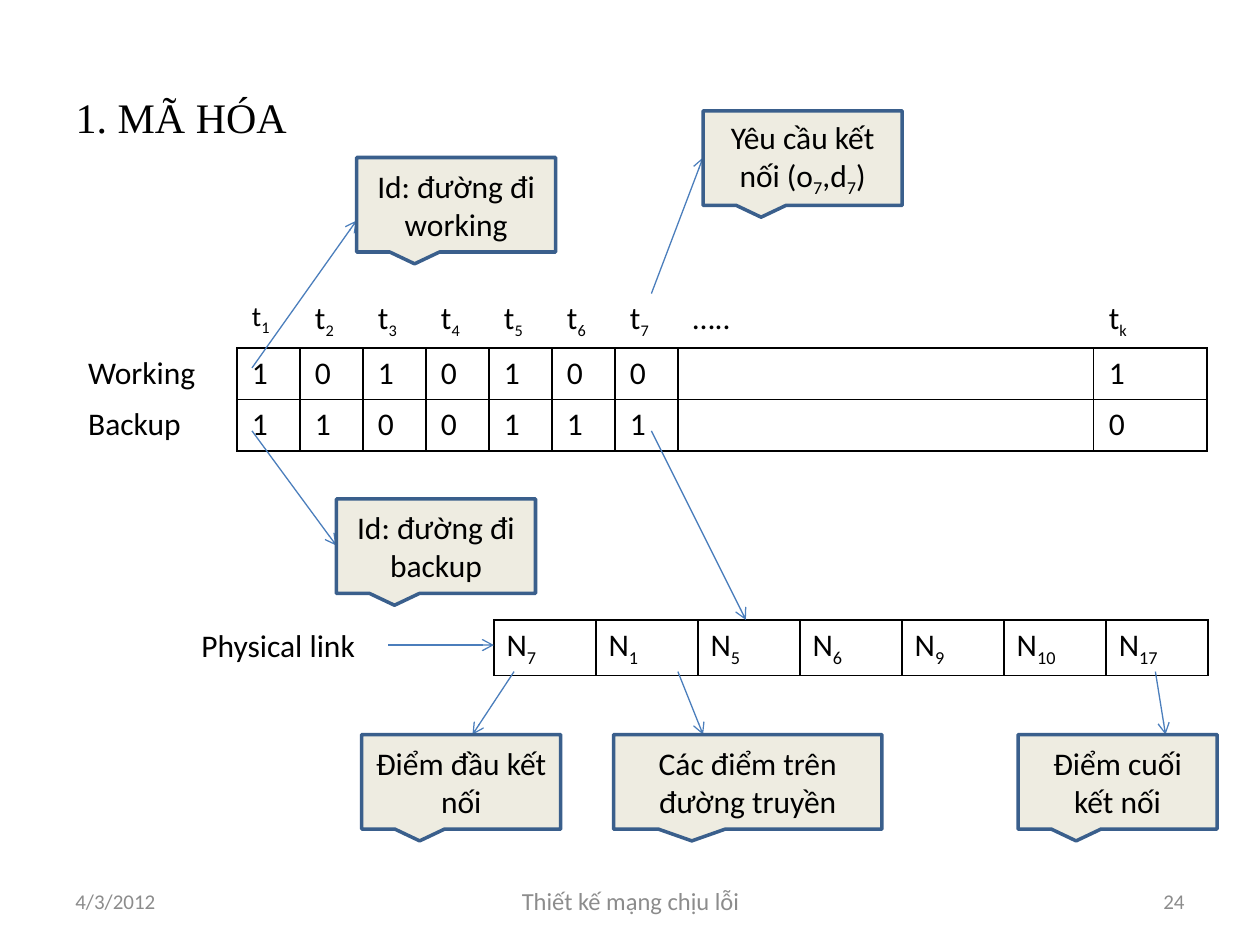
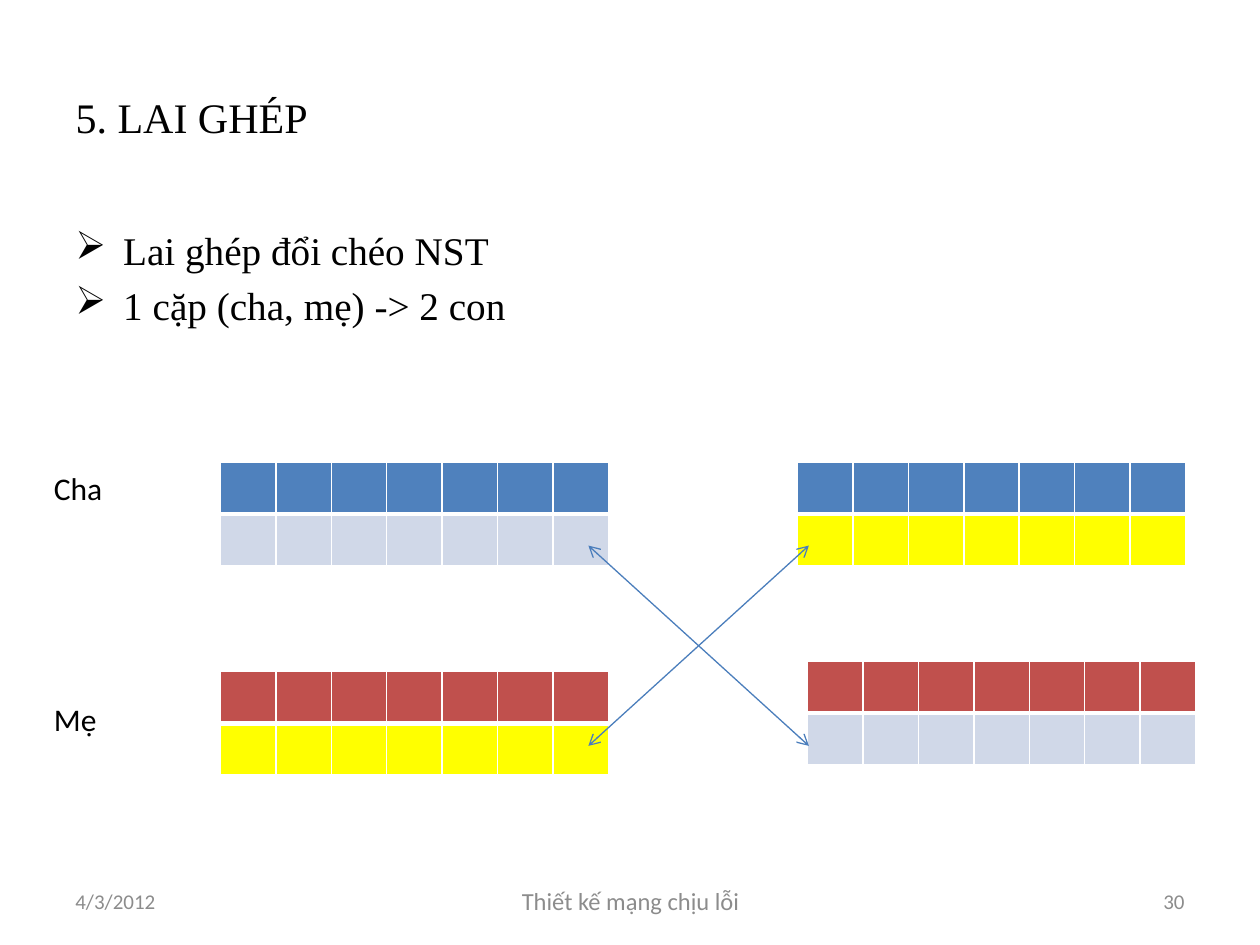
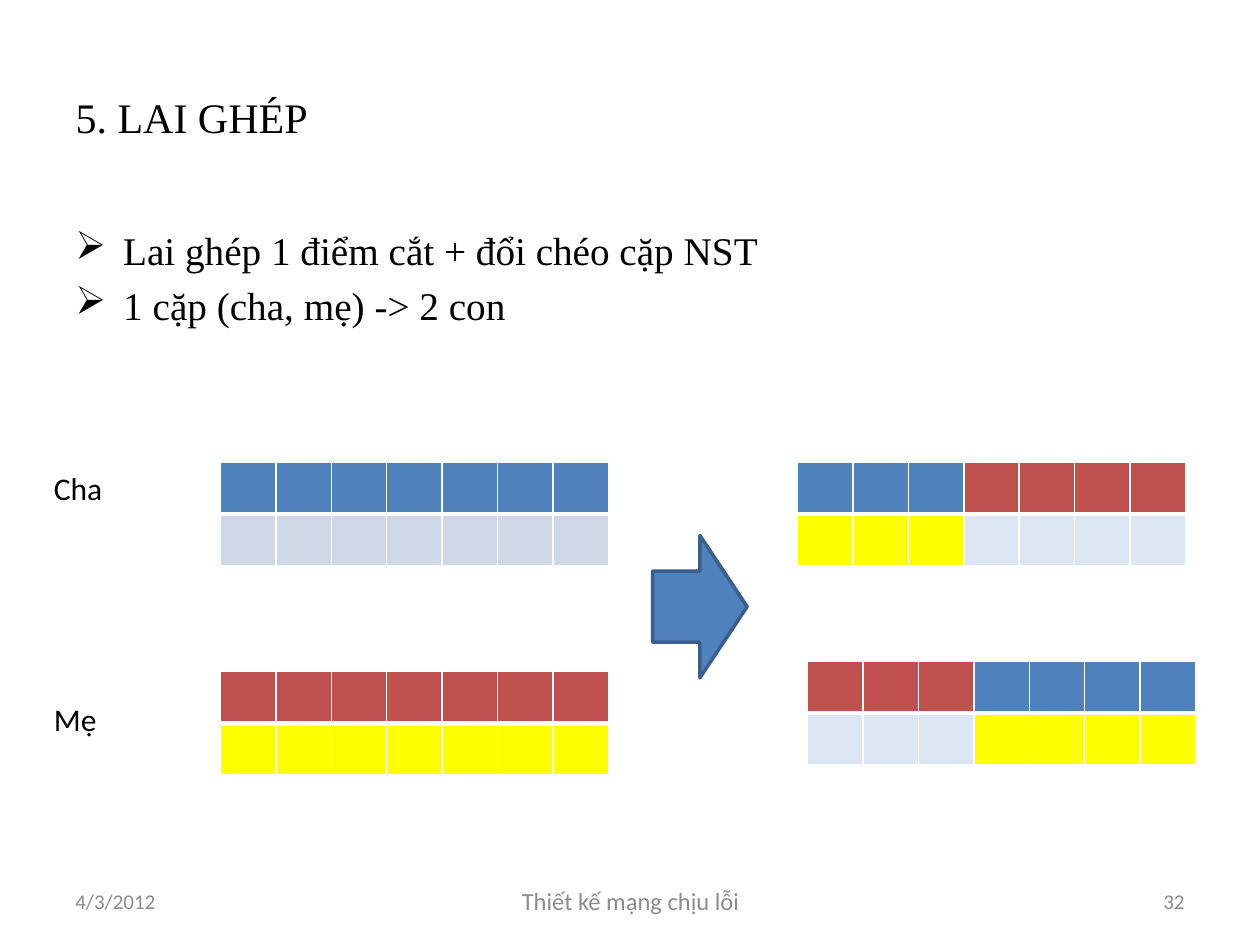
"""Build three slides on encoding and crossover for fault-tolerant network design."""
from lxml.etree import SubElement
from pptx import Presentation
from pptx.dml.color import RGBColor
from pptx.enum.shapes import MSO_CONNECTOR, MSO_SHAPE
from pptx.enum.text import MSO_ANCHOR, PP_ALIGN
from pptx.oxml.ns import qn
from pptx.util import Inches, Pt

BLACK = RGBColor(0x00, 0x00, 0x00)
WHITE = RGBColor(0xFF, 0xFF, 0xFF)
GREY = RGBColor(0x8C, 0x8C, 0x8C)
BEIGE = RGBColor(0xEE, 0xEC, 0xE1)
BLUE = RGBColor(0x4F, 0x81, 0xBD)
OUTLINE_BLUE = RGBColor(0x3A, 0x5F, 0x8C)
ARROW_BLUE = RGBColor(0x4B, 0x7E, 0xBC)
RED = RGBColor(0xC0, 0x50, 0x4D)
YELLOW = RGBColor(0xFF, 0xFF, 0x00)
LILAC = RGBColor(0xD0, 0xD8, 0xE8)
PALE_BLUE = RGBColor(0xDC, 0xE6, 0xF2)

TITLE_FONT = "Times New Roman"
BODY_FONT = "Calibri"
FOOTER = "Thiết kế mạng chịu lỗi"
LEFT, CENTER, RIGHT = PP_ALIGN.LEFT, PP_ALIGN.CENTER, PP_ALIGN.RIGHT
GENES = 7
CUT = 3


def write_text(paragraph, text, size=18, color=BLACK, font=BODY_FONT, align=LEFT, subscript_size=None):
    """Write text, lowering the parts enclosed in tildes."""
    paragraph.alignment = align
    for index, part in enumerate(text.split("~")):
        if not part:
            continue
        lowered = index % 2 == 1
        run = paragraph.add_run()
        run.text = part
        run.font.color.rgb = color
        values = {"name": font, "bold": False, "size": Pt(subscript_size if lowered and subscript_size else size)}
        for name, value in values.items():
            setattr(run.font, name, value)
        if lowered:
            run.font._element.set("baseline", "-25000")


def format_cell(cell, fill, color, borders):
    """Give a cell its borders, as widths by side, and its fill."""
    properties = cell._tc.get_or_add_tcPr()
    for side in "LRTB":
        if side in borders:
            line = SubElement(properties, qn(f"a:ln{side}"), w=str(Pt(borders[side])))
            solid = SubElement(line, qn("a:solidFill"))
            SubElement(solid, qn("a:srgbClr"), val=str(color))
    if fill is None:
        cell.fill.background()
    else:
        cell.fill.solid()
        cell.fill.fore_color.rgb = fill


presentation = Presentation()
presentation.slide_width = Inches(10)
presentation.slide_height = Inches(7.5)

slides = []
text_boxes = []
for title, number in (("1. MÃ HÓA", "24"), ("5. LAI GHÉP", "30"), ("5. LAI GHÉP", "32")):
    slide = presentation.slides.add_slide(presentation.slide_layouts[5])
    slides.append(slide)
    place = {"left": 0.5, "top": 0.3, "width": 9, "height": 1.25}
    for name, value in place.items():
        setattr(slide.shapes.title, name, Inches(value))
    slide.shapes.title.text_frame.vertical_anchor = MSO_ANCHOR.MIDDLE
    write_text(slide.shapes.title.text_frame.paragraphs[0], title, 24, font=TITLE_FONT)
    text_boxes += [
        (slide, "4/3/2012", 0.5, 6.95, 2.33, 12, GREY, LEFT, MSO_ANCHOR.MIDDLE),
        (slide, FOOTER, 3.42, 6.95, 3.17, 14, GREY, CENTER, MSO_ANCHOR.MIDDLE),
        (slide, number, 7.17, 6.95, 2.33, 12, GREY, RIGHT, MSO_ANCHOR.MIDDLE),
    ]
encoding, swap, cut_swap = slides

text_boxes.append((encoding, "Physical link", 1.5, 4.92, 1.58, 18, BLACK, LEFT, MSO_ANCHOR.TOP))
for slide in (swap, cut_swap):
    for label, top in (("Cha", 3.67), ("Mẹ", 5.51)):
        text_boxes.append((slide, label, 0.33, top, 1, 18, BLACK, LEFT, MSO_ANCHOR.TOP))

for slide, text, left, top, width, size, color, align, anchor in text_boxes:
    box = slide.shapes.add_textbox(Inches(left), Inches(top), Inches(width), Inches(0.4))
    box.text_frame.word_wrap = True
    box.text_frame.vertical_anchor = anchor
    write_text(box.text_frame.paragraphs[0], text, size, color, align=align)

for slide, method in ((swap, "Lai ghép đổi chéo NST"), (cut_swap, "Lai ghép 1 điểm cắt + đổi chéo cặp NST")):
    box = slide.shapes.add_textbox(Inches(0.5), Inches(1.75), Inches(9), Inches(0.83))
    frame = box.text_frame
    frame.word_wrap = True
    for paragraph, text in ((frame.paragraphs[0], method), (frame.add_paragraph(), "1 cặp (cha, mẹ) -> 2 con")):
        write_text(paragraph, text, 22.4, font=TITLE_FONT)
        paragraph.space_before = Pt(4.5)
        properties = paragraph._p.get_or_add_pPr()
        properties.set("marL", str(Inches(0.38)))
        properties.set("indent", str(-Inches(0.38)))
        SubElement(properties, qn("a:buChar"), char="➢")

code_rows = [
    ["", *(f"t~{index}~" for index in range(1, GENES + 1)), "…..", "t~k~"],
    ["Working", *"1010100", "", "1"],
    ["Backup", *"1100111", "", "0"],
]
link_rows = [[f"N~{node}~" for node in (7, 1, 5, 6, 9, 10, 17)]]
for rows, left, top, widths, margin, subscript_size in (
    (code_rows, 0.58, 2.33, [1.3] + [0.5] * GENES + [3.3, 0.9], 0.12, 16),
    (link_rows, 3.92, 4.92, [0.81] * GENES, 0.1, 18),
):
    table = encoding.shapes.add_table(
        len(rows), len(widths), Inches(left), Inches(top), Inches(sum(widths)), Inches(0.41 * len(rows))
    ).table
    table.first_row = table.horz_banding = False
    for column, width in zip(table.columns, widths):
        column.width = Inches(width)
    for row_index, texts in enumerate(rows):
        table.rows[row_index].height = Inches(0.41)
        for column_index, text in enumerate(texts):
            cell = table.cell(row_index, column_index)
            cell.margin_left = cell.margin_right = Inches(margin)
            size = 16 if text == "t~1~" else 18
            write_text(cell.text_frame.paragraphs[0], text, size, subscript_size=subscript_size)
            borders = dict.fromkeys("LRTB", 1)
            if rows is code_rows and column_index == 0:
                borders = {"R": 1} if row_index else {}
            elif rows is code_rows and row_index == 0:
                borders = {"B": 1}
            format_cell(cell, None, BLACK, borders)

chromosomes = []
for slide in (swap, cut_swap):
    chromosomes += [(slide, 1.75, 3.67, (BLUE, LILAC), (BLUE, LILAC)), (slide, 1.75, 5.33, (RED, YELLOW), (RED, YELLOW))]
chromosomes += [
    (swap, 6.33, 3.67, (BLUE, YELLOW), (BLUE, YELLOW)),
    (swap, 6.41, 5.25, (RED, LILAC), (RED, LILAC)),
    (cut_swap, 6.33, 3.67, (BLUE, YELLOW), (RED, PALE_BLUE)),
    (cut_swap, 6.41, 5.25, (RED, PALE_BLUE), (BLUE, YELLOW)),
]
for slide, left, top, before_cut, after_cut in chromosomes:
    table = slide.shapes.add_table(2, GENES, Inches(left), Inches(top), Inches(3.08), Inches(0.82)).table
    for column_index in range(GENES):
        table.columns[column_index].width = Inches(0.44)
        colors = before_cut if column_index < CUT else after_cut
        for row_index, shared_edge in enumerate("BT"):
            borders = {**dict.fromkeys("LRTB", 1), shared_edge: 3}
            format_cell(table.cell(row_index, column_index), colors[row_index], WHITE, borders)

for slide, start, end, two_headed in (
    (encoding, (2, 2.92), (2.83, 1.75), False),
    (encoding, (2, 3.42), (2.67, 4.33), False),
    (encoding, (5.17, 2.33), (5.58, 1.25), False),
    (encoding, (5.17, 3.42), (5.92, 4.92), False),
    (encoding, (4.08, 5.33), (3.75, 5.83), False),
    (encoding, (9.17, 5.33), (9.25, 5.83), False),
    (encoding, (5.38, 5.33), (5.58, 5.83), False),
    (encoding, (3.08, 5.12), (3.92, 5.12), False),
    (swap, (4.67, 4.33), (6.42, 5.92), True),
    (swap, (4.67, 5.92), (6.42, 4.33), True),
):
    connector = slide.shapes.add_connector(MSO_CONNECTOR.STRAIGHT, *map(Inches, start + end))
    connector.line.color.rgb = ARROW_BLUE
    connector.line.width = Pt(0.75)
    properties = connector.element.spPr
    for tag in ("a:headEnd", "a:tailEnd") if two_headed else ("a:tailEnd",):
        SubElement(properties.get_or_add_ln(), qn(tag), type="arrow")
    SubElement(properties, qn("a:effectLst"))

CALLOUT = MSO_SHAPE.RECTANGULAR_CALLOUT
for slide, kind, text, left, top, width, height, fill in (
    (encoding, CALLOUT, "Id: đường đi working", 2.83, 1.25, 1.58, 0.75, BEIGE),
    (encoding, CALLOUT, "Id: đường đi backup", 2.67, 3.96, 1.58, 0.75, BEIGE),
    (encoding, CALLOUT, "Yêu cầu kết nối (o~7~,d~7~)", 5.58, 0.88, 1.58, 0.75, BEIGE),
    (encoding, CALLOUT, "Điểm đầu kết nối", 2.87, 5.83, 1.58, 0.75, BEIGE),
    (encoding, CALLOUT, "Các điểm trên đường truyền", 4.87, 5.83, 2.13, 0.75, BEIGE),
    (encoding, CALLOUT, "Điểm cuối kết nối", 8.08, 5.83, 1.58, 0.75, BEIGE),
    (cut_swap, MSO_SHAPE.RIGHT_ARROW, "", 5.18, 4.25, 0.75, 1.13, BLUE),
):
    shape = slide.shapes.add_shape(kind, Inches(left), Inches(top), Inches(width), Inches(height))
    shape.shadow.inherit = False
    shape.fill.solid()
    shape.fill.fore_color.rgb = fill
    shape.line.color.rgb = OUTLINE_BLUE
    shape.line.width = Pt(2)
    shape.text_frame.word_wrap = True
    shape.text_frame.vertical_anchor = MSO_ANCHOR.MIDDLE
    write_text(shape.text_frame.paragraphs[0], text, align=CENTER)

presentation.save("out.pptx")
